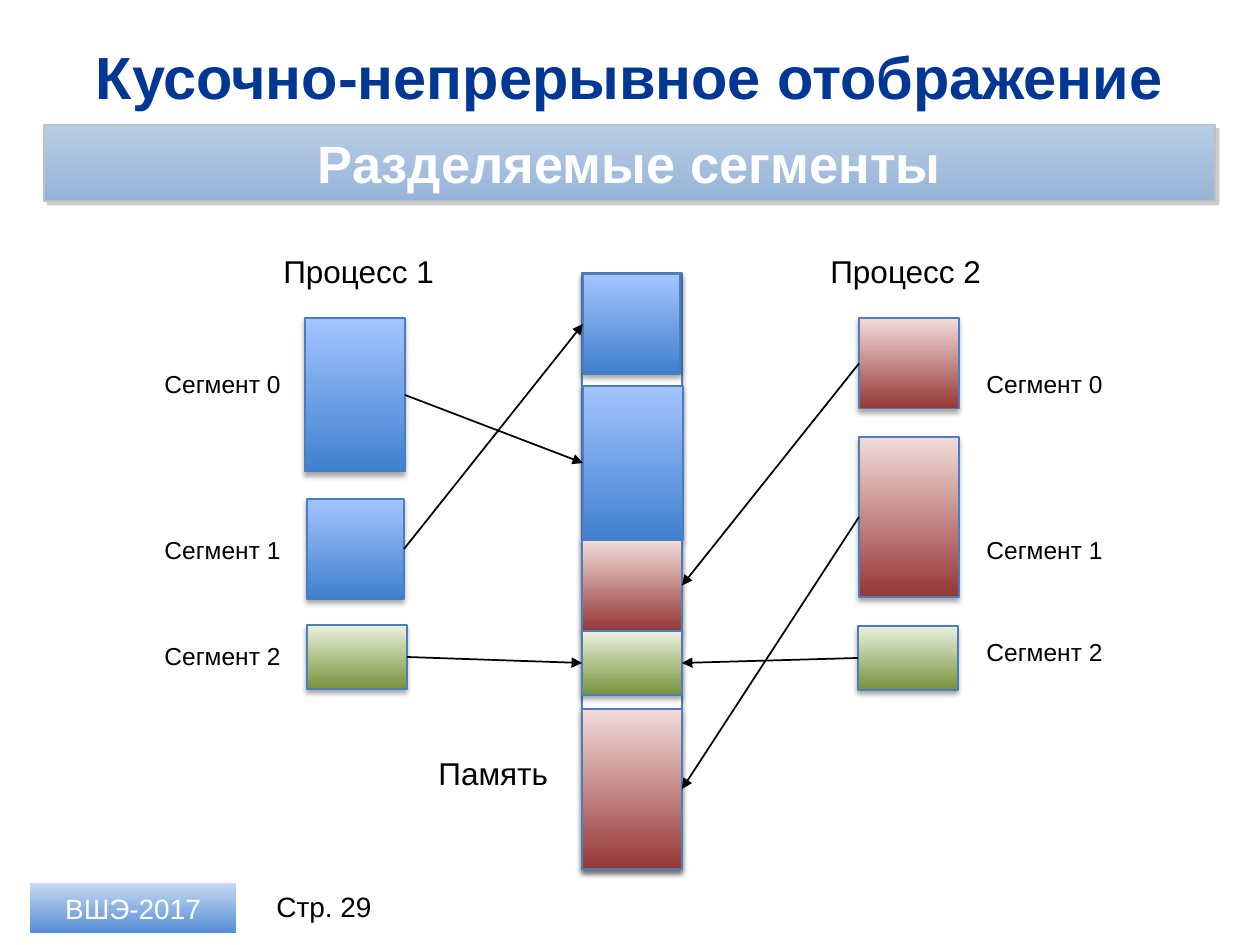
from dataclasses import dataclass

import pptx
import pptx.dml.color
import pptx.enum.shapes
import pptx.enum.text
import pptx.oxml
import pptx.oxml.ns
import pptx.util
from lxml import etree

ALIGN = pptx.enum.text.PP_ALIGN
ANCHOR = pptx.enum.text.MSO_ANCHOR
qn = pptx.oxml.ns.qn


@dataclass(frozen=True)
class Theme:
    font: str = "Arial"
    title: str = "003794"
    text: str = "000000"
    white: str = "FFFFFF"
    outline: str = "4B7EBC"
    banner_outline: str = "C0C0C0"
    # Gradients run from the bottom colour to the top colour
    banner: tuple = ("95B3D7", "B9CDE5")
    footer: tuple = ("558ED5", "C6D9F1")
    blue: tuple = ("3F80CE", "A4C4FF")
    red: tuple = ("953735", "F2DCDB")
    green: tuple = ("77933C", "EBF1DE")
    # Shadows: colour, opacity %, blur pt, distance pt, direction in degrees
    block_shadow: tuple = ("000000", 35, 3.1, 1.8, 90)
    banner_shadow: tuple = ("808080", 40, 0, 3, 45)
    title_size: int = 34
    banner_size: int = 30
    heading_size: int = 18
    footer_size: int = 16
    label_size: int = 14


def rgb(value):
    return pptx.dml.color.RGBColor.from_string(value)


class SlideBuilder:
    PX = 914400 / 126

    def __init__(self, slide, theme):
        self.slide = slide
        self.theme = theme

    def emu(self, *lengths):
        return [pptx.util.Emu(round(length * self.PX)) for length in lengths]

    def add_text(self, shape, text, size, color, bold=False, align=ALIGN.CENTER,
                 anchor=ANCHOR.MIDDLE):
        frame = shape.text_frame
        frame.word_wrap = True
        frame.auto_size = pptx.enum.text.MSO_AUTO_SIZE.NONE
        frame.vertical_anchor = anchor
        paragraph = frame.paragraphs[0]
        paragraph.alignment = align
        run = paragraph.add_run()
        run.text = text
        run.font.name = self.theme.font
        run.font.size = pptx.util.Pt(size)
        run.font.bold = bold
        run.font.color.rgb = rgb(color)

    def title(self, text, *box):
        shape = self.slide.shapes.title
        shape.left, shape.top, shape.width, shape.height = self.emu(*box)
        self.add_text(shape, text, self.theme.title_size, self.theme.title, bold=True)

    def label(self, text, size, *box, align=ALIGN.LEFT, anchor=ANCHOR.TOP):
        shape = self.slide.shapes.add_textbox(*self.emu(*box))
        self.add_text(shape, text, size, self.theme.text, align=align, anchor=anchor)

    def block(self, fill, *box, outline=None, width=0.75, shadow=None):
        shape = self.slide.shapes.add_shape(
            pptx.enum.shapes.MSO_SHAPE.RECTANGLE, *self.emu(*box))
        if isinstance(fill, tuple):
            shape.fill.gradient()
            shape.fill.gradient_angle = 90
            for stop, color in zip(shape.fill.gradient_stops, fill):
                stop.color.rgb = rgb(color)
        else:
            shape.fill.solid()
            shape.fill.fore_color.rgb = rgb(fill)
        if outline:
            shape.line.color.rgb = rgb(outline)
            shape.line.width = pptx.util.Pt(width)
        else:
            shape.line.fill.background()
        shape.shadow.inherit = False
        if shadow:
            self.cast_shadow(shape, *shadow)
        return shape

    def cast_shadow(self, shape, color, opacity, blur, distance, direction):
        effects = shape.element.spPr.find(qn("a:effectLst"))
        outer = etree.SubElement(
            effects, qn("a:outerShdw"), blurRad=str(pptx.util.Pt(blur)),
            dist=str(pptx.util.Pt(distance)), dir=str(direction * 60000),
            algn="tl", rotWithShape="0")
        tint = etree.SubElement(outer, qn("a:srgbClr"), val=color)
        etree.SubElement(tint, qn("a:alpha"), val=str(opacity * 1000))

    def segment(self, fill, *box):
        return self.block(fill, *box, outline=self.theme.outline,
                          shadow=self.theme.block_shadow)

    def arrow(self, source, source_side, target, target_side):
        connector = self.slide.shapes.add_connector(
            pptx.enum.shapes.MSO_CONNECTOR.STRAIGHT, 0, 0, 0, 0)
        connector.begin_connect(source, source_side)
        connector.end_connect(target, target_side)
        connector.line.color.rgb = rgb(self.theme.text)
        connector.line.width = pptx.util.Pt(1)
        properties = connector.element.spPr
        etree.SubElement(properties.find(qn("a:ln")), qn("a:tailEnd"), type="triangle")
        etree.SubElement(properties, qn("a:effectLst"))


def main():
    presentation = pptx.Presentation()
    presentation.slide_width = pptx.util.Inches(10)
    presentation.slide_height = pptx.util.Inches(7.5)
    slide = presentation.slides.add_slide(presentation.slide_layouts[5])
    theme = Theme()
    builder = SlideBuilder(slide, theme)

    # Title and banner
    builder.title("Кусочно-непрерывное отображение", 44, 33, 1171, 86)
    banner = builder.block(theme.banner, 44, 125, 1171, 76, outline=theme.banner_outline,
                           width=1, shadow=theme.banner_shadow)
    builder.add_text(banner, "Разделяемые сегменты", theme.banner_size, theme.white, bold=True)

    # Footer
    footer = builder.block(theme.footer, 30, 883, 206, 50)
    builder.add_text(footer, "ВШЭ-2017", theme.footer_size, theme.white)
    builder.label("Стр. 29", theme.footer_size, 256, 881, 136, 50,
                  align=ALIGN.CENTER, anchor=ANCHOR.MIDDLE)

    # Memory column: fill, left, top, width, height of each mapped segment
    builder.segment(theme.white, 582, 273, 100, 596)
    memory = {
        name: builder.segment(*placement) for name, placement in {
            "large blue": (theme.blue, 583, 386, 100, 154),
            "small blue": (theme.blue, 583, 274, 97, 100),
            "small red": (theme.red, 582, 540, 100, 91),
            "large red": (theme.red, 582, 709, 100, 160),
            "shared": (theme.green, 582, 631, 100, 64),
        }.items()
    }
    builder.label("Память", theme.heading_size, 426, 748, 185, 50)

    # Processes: heading, heading left, label left, facing sides, segments
    # Each segment: memory name, fill, left, top, width, height, label top
    left_side, right_side = 1, 3
    processes = [
        ("Процесс 1", 271, 152, right_side, left_side, [
            ("large blue", theme.blue, 305, 318, 100, 154, 363),
            ("small blue", theme.blue, 307, 499, 97, 100, 529),
            ("shared", theme.green, 307, 625, 100, 64, 635),
        ]),
        ("Процесс 2", 818, 974, left_side, right_side, [
            ("small red", theme.red, 859, 318, 100, 91, 363),
            ("large red", theme.red, 859, 437, 100, 160, 529),
            ("shared", theme.green, 858, 626, 100, 64, 631),
        ]),
    ]
    for heading, heading_left, label_left, source_side, target_side, segments in processes:
        builder.label(heading, theme.heading_size, heading_left, 246, 199, 50)
        for number, (name, *placement, label_top) in enumerate(segments):
            segment = builder.segment(*placement)
            builder.label(f"Сегмент {number}", theme.label_size, label_left, label_top, 155, 43)
            builder.arrow(segment, source_side, memory[name], target_side)

    presentation.save("out.pptx")


if __name__ == "__main__":
    main()
